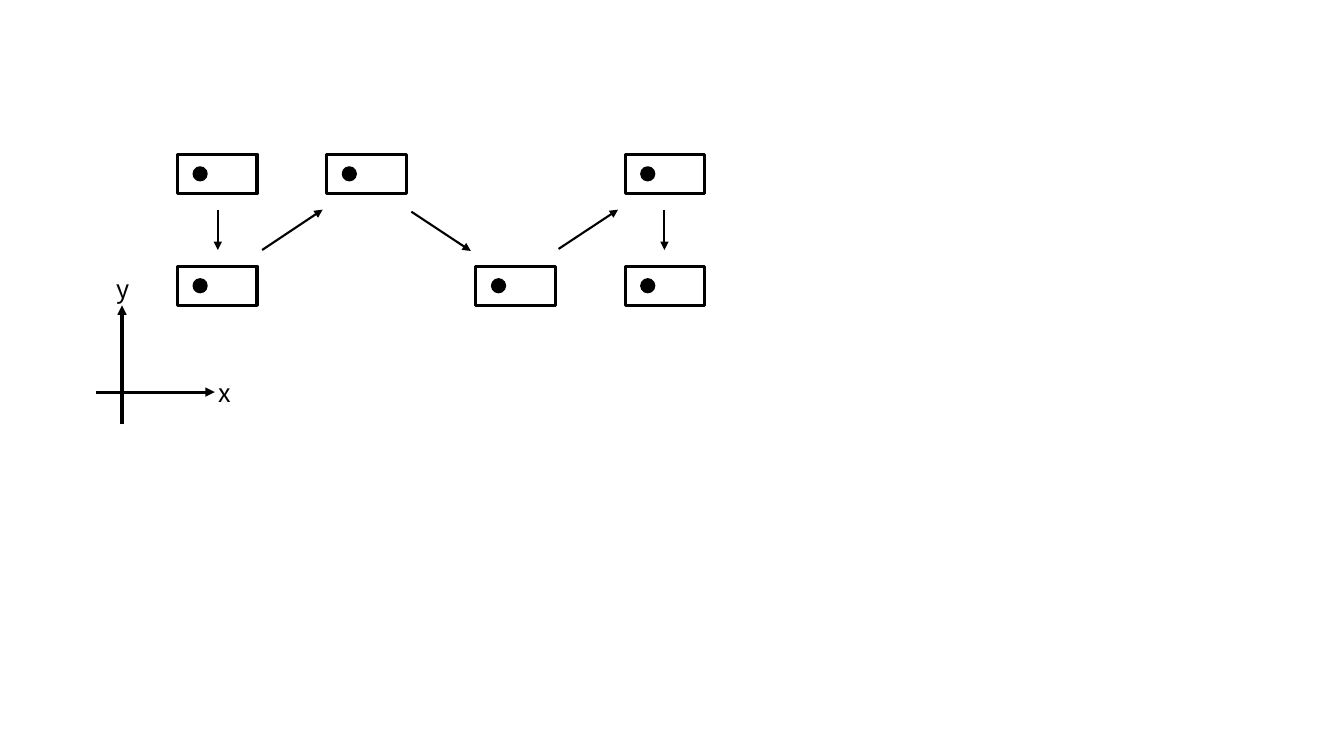
from dataclasses import dataclass

from lxml.etree import SubElement
from pptx import Presentation
from pptx.dml.color import RGBColor
from pptx.enum.shapes import MSO_CONNECTOR as CONNECTOR, MSO_SHAPE as SHAPE
from pptx.enum.text import MSO_AUTO_SIZE as AUTO_SIZE
from pptx.oxml.ns import qn
from pptx.util import Inches, Pt


@dataclass(frozen=True)
class Theme:
    ink: RGBColor = RGBColor(0, 0, 0)
    paper: RGBColor = RGBColor(255, 255, 255)
    font: str = "Noto Sans CJK JP"
    label_size: float = 18
    bold_line: float = 2.25
    thin_line: float = 1.5


@dataclass(frozen=True)
class Unit:
    column: int
    row: int


@dataclass(frozen=True)
class Arrow:
    x1: float
    y1: float
    x2: float
    y2: float
    weight: float


THEME = Theme()

# Grid of units: each is an upright rectangle turned on its side
UNIT_LEFT, UNIT_TOP = 1.96, 1.33
COLUMN_STEP, ROW_STEP = 1.48, 1.11
UNIT_WIDTH, UNIT_HEIGHT = 0.39, 0.79
DOT_DX, DOT_DY, DOT_SIZE = -0.04, 0.33, 0.13

UNITS = [Unit(3, 1), Unit(0, 0), Unit(3, 0), Unit(2, 1), Unit(1, 0), Unit(0, 1)]

AXES = [
    Arrow(1.21, 4.21, 1.21, 3.03, THEME.bold_line),
    Arrow(0.95, 3.89, 2.13, 3.89, THEME.bold_line),
]
MOVES = [
    Arrow(2.16, 2.08, 2.16, 2.48, THEME.thin_line),
    Arrow(6.59, 2.08, 6.59, 2.48, THEME.thin_line),
    Arrow(2.6, 2.48, 3.2, 2.08, THEME.thin_line),
    Arrow(4.08, 2.1, 4.67, 2.49, THEME.thin_line),
    Arrow(5.54, 2.47, 6.13, 2.08, THEME.thin_line),
]


def add_solid(shapes, kind: SHAPE, left: float, top: float, width: float,
              height: float, *, fill: RGBColor, weight: float):
    sp = shapes.add_shape(kind, Inches(left), Inches(top), Inches(width), Inches(height))
    sp.shadow.inherit = False
    sp.fill.solid()
    sp.fill.fore_color.rgb = fill
    sp.line.color.rgb = THEME.ink
    sp.line.width = Pt(weight)
    return sp


def add_unit(s, unit: Unit) -> None:
    left = UNIT_LEFT + unit.column * COLUMN_STEP
    top = UNIT_TOP + unit.row * ROW_STEP
    group = s.shapes.add_group_shape()
    body = add_solid(group.shapes, SHAPE.RECTANGLE, left, top, UNIT_WIDTH, UNIT_HEIGHT,
                     fill=THEME.paper, weight=THEME.bold_line)
    body.rotation = 270
    add_solid(group.shapes, SHAPE.FLOWCHART_CONNECTOR, left + DOT_DX, top + DOT_DY,
              DOT_SIZE, DOT_SIZE, fill=THEME.ink, weight=THEME.thin_line)


def add_arrow(s, arrow: Arrow) -> None:
    line = s.shapes.add_connector(CONNECTOR.STRAIGHT, Inches(arrow.x1), Inches(arrow.y1),
                                  Inches(arrow.x2), Inches(arrow.y2))
    line.line.color.rgb = THEME.ink
    line.line.width = Pt(arrow.weight)
    SubElement(line.line._get_or_add_ln(), qn("a:tailEnd"), type="triangle")
    SubElement(line._element.spPr, qn("a:effectLst"))


def add_text(s, text: str, *, left: float, top: float, width: float = 0.3,
             height: float = 0.4, size: float = THEME.label_size,
             color: RGBColor = THEME.ink) -> None:
    box = s.shapes.add_textbox(Inches(left), Inches(top), Inches(width), Inches(height))
    tf = box.text_frame
    tf.word_wrap = False
    tf.auto_size = AUTO_SIZE.SHAPE_TO_FIT_TEXT
    r = tf.paragraphs[0].add_run()
    r.text = text
    r.font.name = THEME.font
    r.font.size = Pt(size)
    r.font.color.rgb = color


def main() -> None:
    prs = Presentation()
    prs.slide_width, prs.slide_height = Inches(13.33), Inches(7.5)
    s = prs.slides.add_slide(prs.slide_layouts[6])

    # Units in their grid positions
    for unit in UNITS:
        add_unit(s, unit)

    # Axes with labels, then the moves between units
    for arrow in AXES + MOVES:
        add_arrow(s, arrow)
    add_text(s, "x", left=2.07, top=3.69)
    add_text(s, "y", left=1.06, top=2.66)

    prs.save("out.pptx")


if __name__ == "__main__":
    main()
